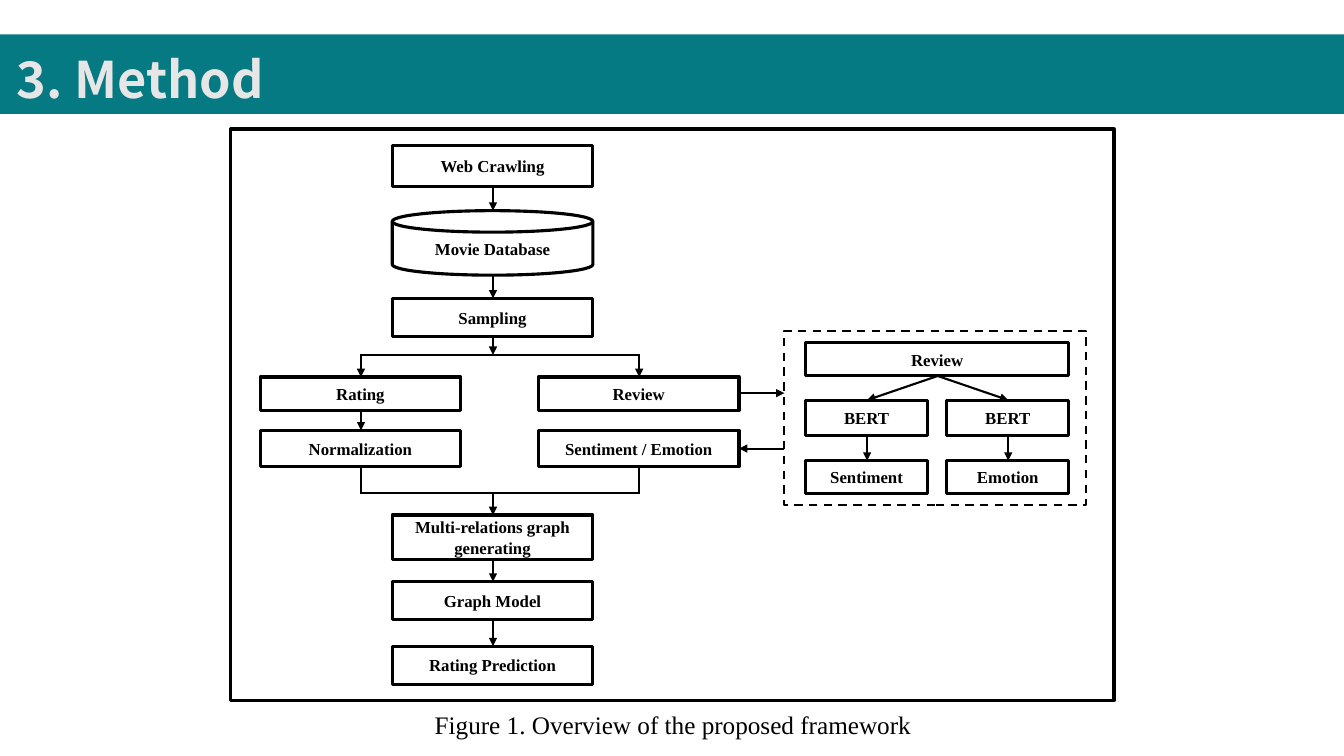
from dataclasses import dataclass

from lxml import etree
from pptx import Presentation
from pptx import util as u
from pptx.dml.color import RGBColor
from pptx.enum import dml, shapes, text
from pptx.oxml.ns import qn

PX = 9144  # EMU, 100 px to the inch
TEAL = RGBColor(0x06, 0x7A, 0x82)
PALE = RGBColor(0xE7, 0xE6, 0xE6)
BLACK = RGBColor(0, 0, 0)

TITLE = {"name": "Noto Sans CJK KR", "size": u.Pt(36), "bold": True}
LABEL = {"name": "Times New Roman", "size": u.Pt(12), "bold": True}
CAPTION = {"name": "Times New Roman", "size": u.Pt(18), "bold": False}

RECTANGLE = shapes.MSO_SHAPE.RECTANGLE
DISK = shapes.MSO_SHAPE.FLOWCHART_MAGNETIC_DISK
STEP_WIDTH = 199
BRANCH_WIDTH = 121
MAIN_LEFT, RATING_LEFT, REVIEW_LEFT = 389, 258, 534
BERT_LEFTS = (799, 939)


@dataclass
class Box:
    left: int
    top: int
    width: int
    height: int

    @property
    def center(self):
        return self.left + (self.width + 1) // 2

    @property
    def bottom(self):
        return self.top + self.height

    def emu(self):
        return [n * PX for n in (self.left, self.top, self.width, self.height)]


def write(frame, lines, font, color, align, spacing=None):
    for index, line in enumerate(lines):
        paragraph = frame.paragraphs[0] if index == 0 else frame.add_paragraph()
        paragraph.alignment = align
        paragraph.line_spacing = spacing
        run = paragraph.add_run()
        run.text = line
        for name, value in font.items():
            setattr(run.font, name, value)
        run.font.color.rgb = color


def add_text(slide, box, line, font, color, align, anchor, spacing=None):
    frame = slide.shapes.add_textbox(*box.emu()).text_frame
    frame.word_wrap = True
    frame.vertical_anchor = anchor
    write(frame, [line], font, color, align, spacing)


def add_banner(slide, box):
    shape = slide.shapes.add_shape(RECTANGLE, *box.emu())
    shape.shadow.inherit = False
    shape.fill.solid()
    shape.fill.fore_color.rgb = TEAL
    shape.line.fill.background()


def add_outline(slide, box, kind=RECTANGLE, weight=2.25, dash=None):
    shape = slide.shapes.add_shape(kind, *box.emu())
    shape.shadow.inherit = False
    shape.fill.background()
    shape.line.color.rgb = BLACK
    shape.line.width = u.Pt(weight)
    shape.line.dash_style = dash
    return shape


def add_step(slide, label, left, top, height, width=STEP_WIDTH, kind=RECTANGLE):
    box = Box(left, top, width, height)
    frame = add_outline(slide, box, kind).text_frame
    frame.word_wrap = True
    frame.vertical_anchor = text.MSO_ANCHOR.MIDDLE
    write(frame, label.split("\n"), LABEL, BLACK, text.PP_ALIGN.CENTER)
    return box


def add_line(slide, start, end, arrow=True):
    points = [n * PX for n in (*start, *end)]
    line = slide.shapes.add_connector(shapes.MSO_CONNECTOR.STRAIGHT, *points)
    line.line.color.rgb = BLACK
    line.line.width = u.Pt(1.5)
    if arrow:
        etree.SubElement(line.line._get_or_add_ln(), qn("a:tailEnd"), type="triangle")
    etree.SubElement(line._element.spPr, qn("a:effectLst"))


def link(slide, upper, lower):
    add_line(slide, (upper.center, upper.bottom), (lower.center, lower.top))


def add_chain(slide, steps):
    for upper, lower in zip(steps, steps[1:]):
        link(slide, upper, lower)


def add_bert_panel(slide):
    add_outline(slide, Box(778, 328, 299, 173), weight=1.5, dash=dml.MSO_LINE.DASH)
    review = add_step(slide, "Review", BERT_LEFTS[0], 340, 33, 261)
    for left, result in zip(BERT_LEFTS, ("Sentiment", "Emotion")):
        bert = add_step(slide, "BERT", left, 397, 35, BRANCH_WIDTH)
        output = add_step(slide, result, left, 457, 33, BRANCH_WIDTH)
        add_chain(slide, [review, bert, output])


def add_flow(slide):
    crawling = add_step(slide, "Web Crawling", MAIN_LEFT, 144, 41)
    database = add_step(slide, "Movie Database", MAIN_LEFT, 209, 64, kind=DISK)
    sampling = add_step(slide, "Sampling", MAIN_LEFT, 296, 38)
    add_chain(slide, [crawling, database, sampling])

    rating = add_step(slide, "Rating", RATING_LEFT, 374, 33)
    normalization = add_step(slide, "Normalization", RATING_LEFT, 427, 36)
    review = add_step(slide, "Review", REVIEW_LEFT, 374, 33)
    emotion = add_step(slide, "Sentiment / Emotion", REVIEW_LEFT, 427, 36)
    link(slide, rating, normalization)

    graph = add_step(slide, "Multi-relations graph\ngenerating", MAIN_LEFT, 511, 44)
    model = add_step(slide, "Graph Model", MAIN_LEFT, 577, 38)
    prediction = add_step(slide, "Rating Prediction", MAIN_LEFT, 641, 38)
    add_chain(slide, [graph, model, prediction])

    split, join = 352, 489
    for level in (split, join):
        add_line(slide, (rating.center, level), (review.center, level), arrow=False)
    add_line(slide, (sampling.center, sampling.bottom), (sampling.center, split))
    add_line(slide, (graph.center, join), (graph.center, graph.top))
    for branch in (rating, review):
        add_line(slide, (branch.center, split - 1), (branch.center, branch.top))
    for branch in (normalization, emotion):
        add_line(slide, (branch.center, branch.bottom), (branch.center, join + 1), arrow=False)

    step_right, panel_left = REVIEW_LEFT + STEP_WIDTH, 778
    add_line(slide, (step_right, 390), (panel_left, 390))
    add_line(slide, (panel_left, 445), (step_right, 445))


def main():
    presentation = Presentation()
    presentation.slide_width = 1333 * PX
    presentation.slide_height = 750 * PX
    slide = presentation.slides.add_slide(presentation.slide_layouts[6])

    add_banner(slide, Box(0, 34, 1333, 79))
    add_text(slide, Box(7, 17, 1326, 92), "3. Method", TITLE, PALE,
             text.PP_ALIGN.LEFT, text.MSO_ANCHOR.MIDDLE, spacing=1.5)
    add_outline(slide, Box(229, 128, 876, 567))
    add_flow(slide)
    add_bert_panel(slide)
    add_text(slide, Box(409, 699, 517, 40), "Figure 1. Overview of the proposed framework",
             CAPTION, BLACK, text.PP_ALIGN.CENTER, text.MSO_ANCHOR.TOP)

    presentation.save("out.pptx")


if __name__ == "__main__":
    main()
